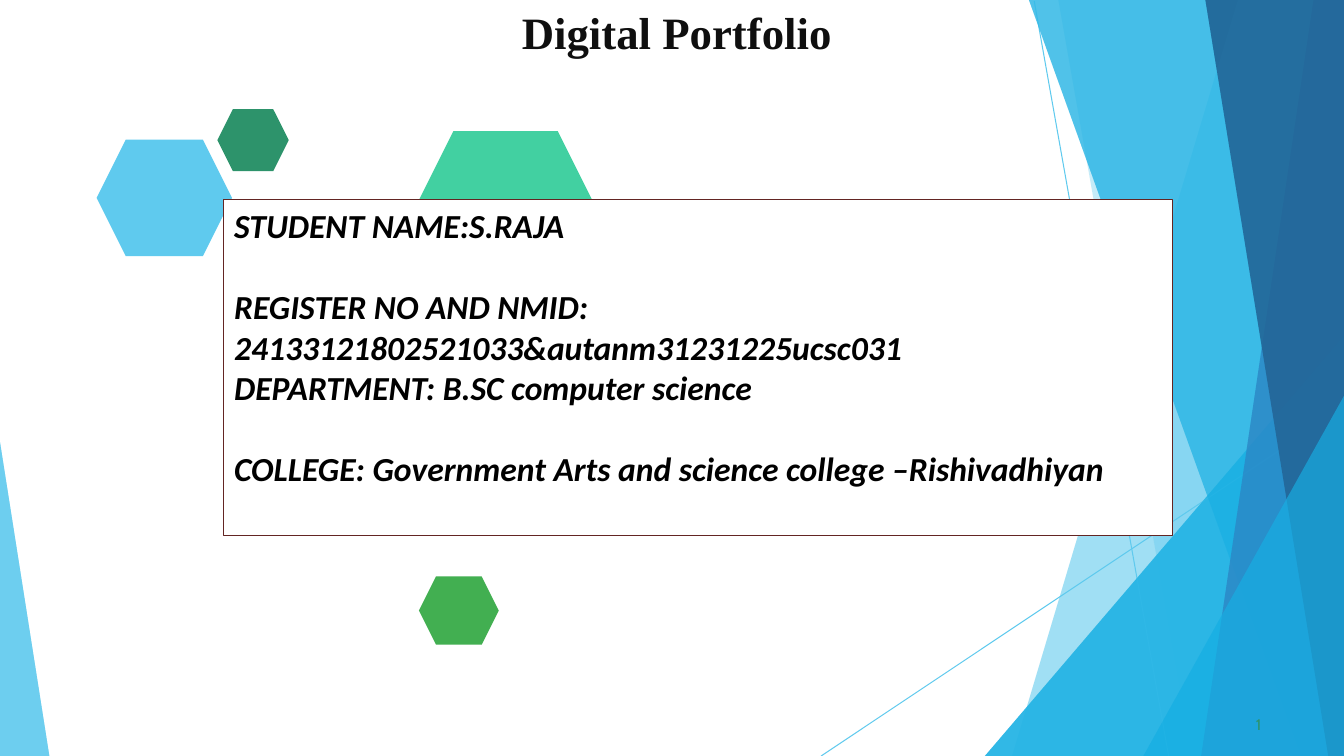
from dataclasses import dataclass

from lxml import etree
from pptx import Presentation
from pptx import util as u
from pptx.dml.color import RGBColor
from pptx.enum import shapes, text
from pptx.oxml import ns

PX = 9525  # EMU in one px, 96 px to the inch
WIDTH, HEIGHT = 1280, 720


@dataclass(frozen=True)
class Theme:
    sky: str = "5FCAEE"
    azure: str = "17AFE3"
    blue: str = "2D83C3"
    navy: str = "226192"
    forest: str = "2D936B"
    mint: str = "42D0A1"
    green: str = "42AF51"
    paper: str = "FFFFFF"
    border: str = "632523"
    title: str = "0F0F0F"
    ink: str = "000000"
    title_size: float = 32
    body_size: float = 24
    number_size: float = 11
    body_line: float = 29.3
    thin_line: float = 0.75


THEME = Theme()


@dataclass(frozen=True)
class Band:
    points: tuple[tuple[int, int], ...]
    color: str
    opacity: int


@dataclass(frozen=True)
class Ray:
    start: tuple[int, int]
    end: tuple[int, int]


@dataclass(frozen=True)
class Hexagon:
    left: int
    top: int
    width: int
    height: int
    color: str


@dataclass(frozen=True)
class Detail:
    content: str
    starts_block: bool = False


def right_band(top_x: int, bottom_x: int, color: str, opacity: int) -> Band:
    """Full-height band from a slanted edge to the right side of the slide."""
    points = ((WIDTH, 0), (top_x, 0), (bottom_x, HEIGHT), (WIDTH, HEIGHT))
    return Band(points, color, opacity)


def corner_band(top: int, bottom_x: int) -> Band:
    """Triangle in the bottom right corner."""
    points = ((WIDTH, top), (bottom_x, HEIGHT), (WIDTH, HEIGHT))
    return Band(points, THEME.azure, 66)


BANDS = (
    right_band(1179, 964, THEME.sky, 36),
    right_band(1008, 1135, THEME.sky, 20),
    corner_band(320, 938),
    right_band(980, 1239, THEME.azure, 50),
    right_band(1251, 1144, THEME.blue, 70),
    right_band(1148, 1265, THEME.navy, 80),
    corner_band(377, 1089),
    Band(((0, 421), (0, HEIGHT), (47, HEIGHT)), THEME.sky, 70),
)
RAYS = (Ray((985, 1), (1113, HEIGHT)), Ray((WIDTH, 388), (782, HEIGHT)))
HEXAGONS = (
    Hexagon(92, 133, 129, 111, THEME.sky),
    Hexagon(207, 104, 68, 59, THEME.forest),
    Hexagon(394, 125, 175, 151, THEME.mint),
    Hexagon(399, 549, 76, 65, THEME.green),
)
DETAILS = (
    Detail("STUDENT NAME:S.RAJA"),
    Detail("REGISTER NO AND NMID: 24133121802521033&autanm31231225ucsc031", True),
    Detail("DEPARTMENT: B.SC computer science"),
    Detail("COLLEGE: Government Arts and science college –Rishivadhiyan", True),
)


def px(*lengths: int) -> list[int]:
    return [length * PX for length in lengths]


def paint(shape, color: str) -> None:
    """Flat fill without outline or shadow."""
    shape.shadow.inherit = False
    shape.fill.solid()
    shape.fill.fore_color.rgb = RGBColor.from_string(color)
    shape.line.fill.background()


def set_font(paragraph, name: str, size: float, color: str) -> None:
    paragraph.font.name = name
    paragraph.font.size = u.Pt(size)
    paragraph.font.color.rgb = RGBColor.from_string(color)


def set_frame(frame, left: int, top: int, right: int, bottom: int) -> None:
    """Top-anchored, wrapping text with the given insets in px."""
    frame.margin_left, frame.margin_top, frame.margin_right, frame.margin_bottom = px(
        left, top, right, bottom)
    frame.word_wrap = True
    frame.auto_size = text.MSO_AUTO_SIZE.NONE
    frame.vertical_anchor = text.MSO_ANCHOR.TOP


def set_indent(paragraph, indent: int) -> None:
    properties = paragraph._p.get_or_add_pPr()
    properties.set("marL", str(indent * PX))
    properties.set("indent", "0")


def draw_band(slide, band: Band) -> None:
    builder = slide.shapes.build_freeform(*band.points[0], scale=PX)
    builder.add_line_segments(band.points[1:], close=True)
    shape = builder.convert_to_shape()
    paint(shape, band.color)
    color = shape._element.spPr.find(".//" + ns.qn("a:srgbClr"))
    etree.SubElement(color, ns.qn("a:alpha"), val=str(band.opacity * 1000))


def draw_ray(slide, ray: Ray) -> None:
    connector = slide.shapes.add_connector(
        shapes.MSO_CONNECTOR.STRAIGHT, *px(*ray.start, *ray.end))
    connector.line.color.rgb = RGBColor.from_string(THEME.sky)
    connector.line.width = u.Pt(THEME.thin_line)
    etree.SubElement(connector._element.spPr, ns.qn("a:effectLst"))


def draw_hexagon(slide, hexagon: Hexagon) -> None:
    shape = slide.shapes.add_shape(
        shapes.MSO_SHAPE.HEXAGON,
        *px(hexagon.left, hexagon.top, hexagon.width, hexagon.height))
    paint(shape, hexagon.color)


def draw_title(slide) -> None:
    title = slide.shapes.title
    title.left, title.top, title.width, title.height = px(160, 2, 801, 106)
    set_frame(title.text_frame, 0, 2, 0, 0)
    title.text_frame.text = "Digital Portfolio"
    paragraph = title.text_frame.paragraphs[0]
    paragraph.alignment = text.PP_ALIGN.LEFT
    paragraph.space_before = u.Pt(1.3)
    set_indent(paragraph, 337)
    set_font(paragraph, "Times New Roman", THEME.title_size, THEME.title)
    paragraph.font.bold = True


def draw_page_number(slide) -> None:
    box = slide.shapes.add_textbox(*px(1192, 680, 16, 20))
    set_frame(box.text_frame, 0, 1, 0, 0)
    box.text_frame.text = "1"
    paragraph = box.text_frame.paragraphs[0]
    set_indent(paragraph, 4)
    set_font(paragraph, "Cabin", THEME.number_size, THEME.forest)


def draw_details(slide) -> None:
    card = slide.shapes.add_shape(shapes.MSO_SHAPE.RECTANGLE, *px(213, 190, 904, 320))
    paint(card, THEME.paper)
    card.line.color.rgb = RGBColor.from_string(THEME.border)
    card.line.width = u.Pt(THEME.thin_line)
    frame = card.text_frame
    set_frame(frame, 10, 5, 10, 5)
    frame.text = "\n".join(detail.content for detail in DETAILS)
    for paragraph, detail in zip(frame.paragraphs, DETAILS):
        paragraph.alignment = text.PP_ALIGN.LEFT
        paragraph.space_before = u.Pt(THEME.body_line if detail.starts_block else 0)
        set_font(paragraph, "Calibri", THEME.body_size, THEME.ink)
        paragraph.font.bold = paragraph.font.italic = True


def main() -> None:
    presentation = Presentation()
    presentation.slide_width, presentation.slide_height = px(WIDTH, HEIGHT)
    slide = presentation.slides.add_slide(presentation.slide_layouts.get_by_name("Title Only"))
    for band in BANDS:
        draw_band(slide, band)
    for ray in RAYS:
        draw_ray(slide, ray)
    for band in BANDS:  # the second layer deepens the colours and softens the rays
        draw_band(slide, band)
    for hexagon in HEXAGONS:
        draw_hexagon(slide, hexagon)
    draw_title(slide)
    draw_page_number(slide)
    draw_details(slide)
    presentation.save("out.pptx")


if __name__ == "__main__":
    main()
